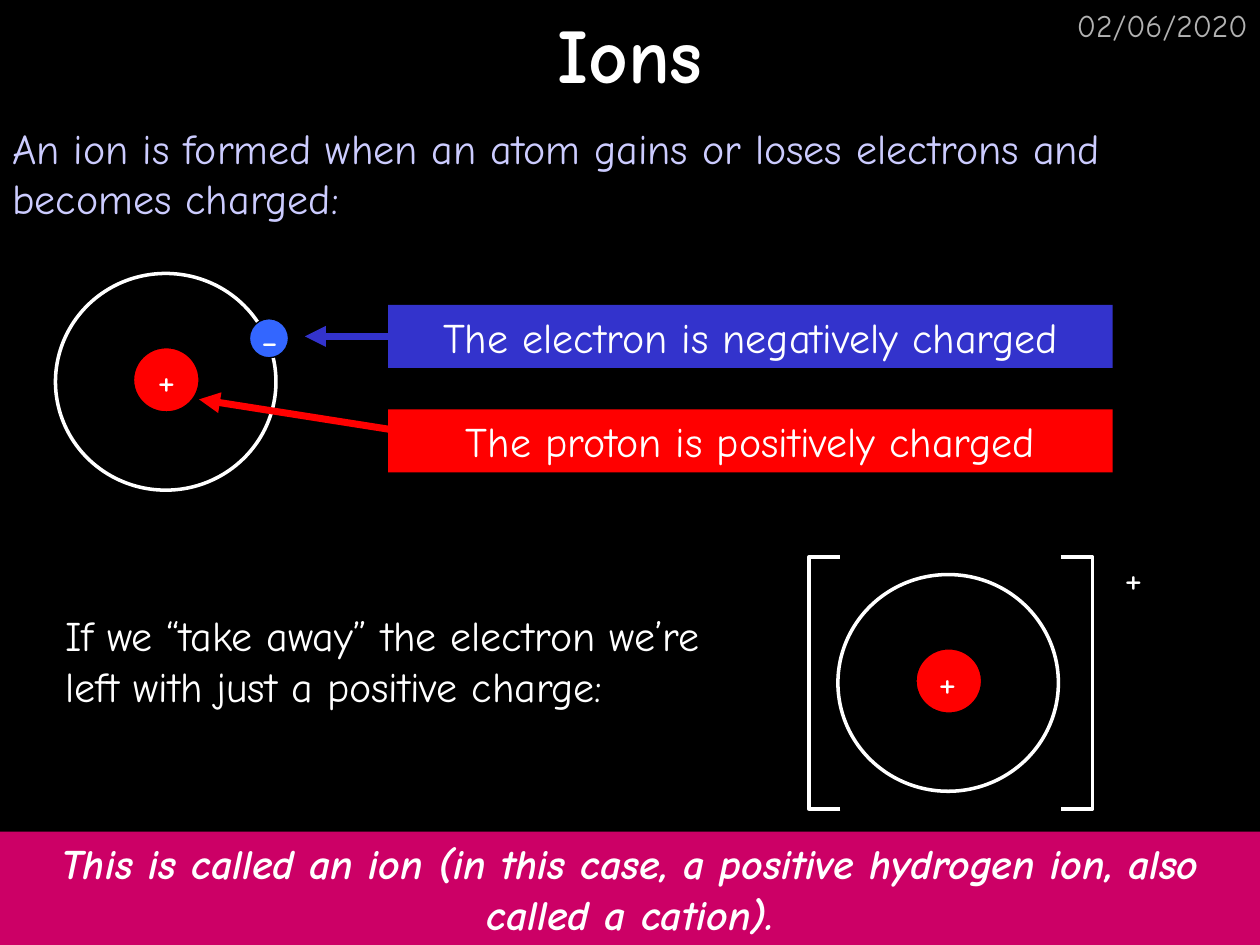
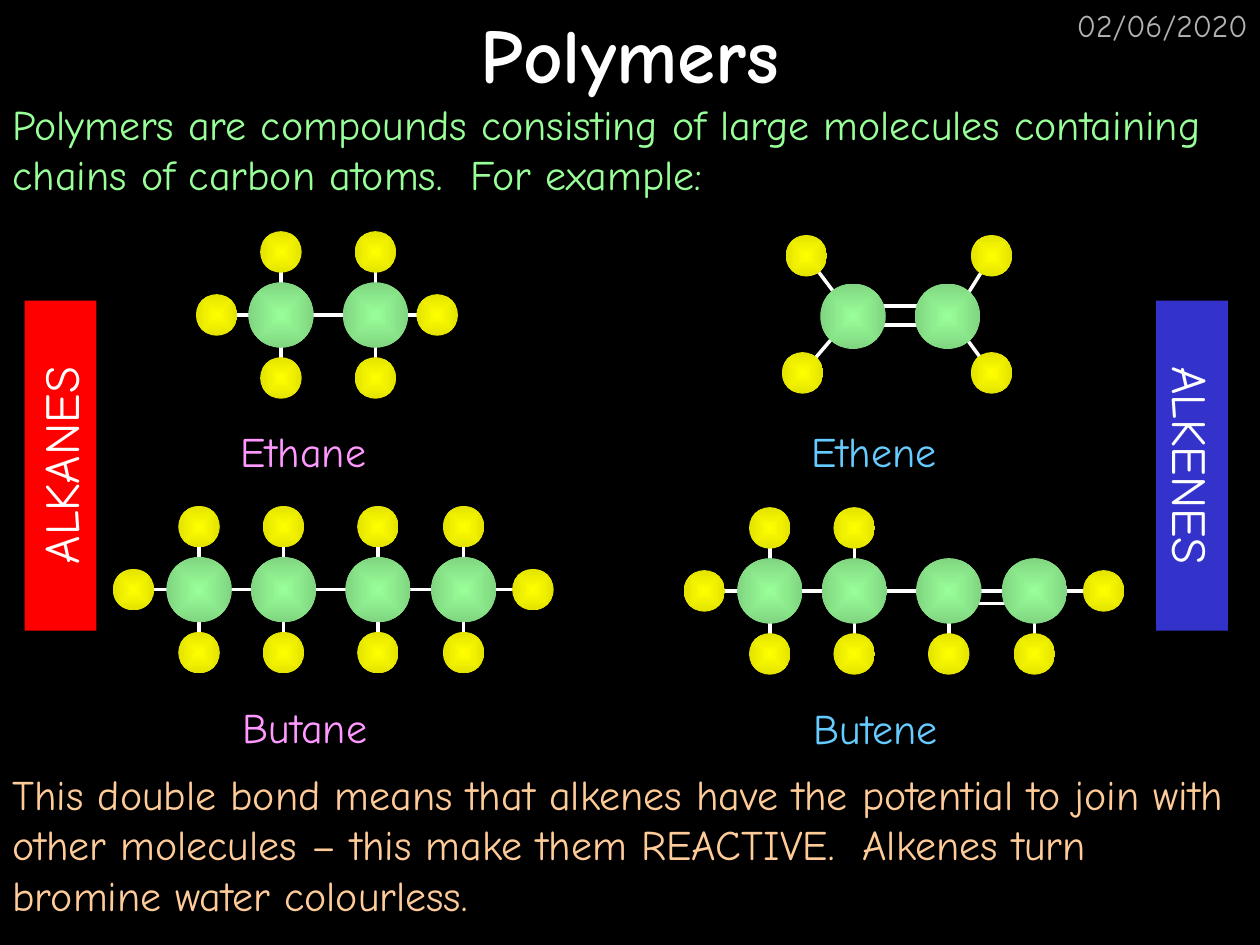
from lxml import etree
from pptx import Presentation
from pptx.dml.color import RGBColor
from pptx.enum.shapes import MSO_CONNECTOR, MSO_SHAPE
from pptx.enum.text import MSO_ANCHOR, PP_ALIGN
from pptx.oxml.ns import qn
from pptx.util import Inches, Pt

STRAIGHT = MSO_CONNECTOR.STRAIGHT
RECTANGLE, OVAL = MSO_SHAPE.RECTANGLE, MSO_SHAPE.OVAL
LEFT_BRACKET, RIGHT_BRACKET = MSO_SHAPE.LEFT_BRACKET, MSO_SHAPE.RIGHT_BRACKET
TOP, MIDDLE = MSO_ANCHOR.TOP, MSO_ANCHOR.MIDDLE
LEFT, CENTER, RIGHT = PP_ALIGN.LEFT, PP_ALIGN.CENTER, PP_ALIGN.RIGHT

FONT = "Comic Neue"
COLORS = {
    "black": "000000", "white": "FFFFFF", "grey": "B2B2B2",
    "lavender": "CCCCFF", "magenta": "CC0066", "red": "FF0000",
    "electron": "3366FF", "blue": "3333CC", "mint": "99FF99",
    "mint_edge": "80D580", "yellow": "FFFF00", "yellow_edge": "E3E300",
    "pink": "FF99FF", "sky": "66CCFF", "peach": "FFCC99",
}
COLORS = {name: RGBColor.from_string(value) for name, value in COLORS.items()}


def add_item(slide, kind, at, text="", color="white", size=24, align=LEFT, anchor=TOP,
             bold=False, italic=False, fill=None, line=None, line_width=0.75):
    box = [Inches(value) for value in at]
    if kind is None:
        shape = slide.shapes.add_textbox(*box)
    else:
        shape = slide.shapes.add_shape(kind, *box)
        shape.shadow.inherit = False
        if fill:
            shape.fill.solid()
            shape.fill.fore_color.rgb = COLORS[fill]
        else:
            shape.fill.background()
        if line:
            shape.line.color.rgb = COLORS[line]
            shape.line.width = Pt(line_width)
        else:
            shape.line.fill.background()
    if text:
        frame = shape.text_frame
        frame.word_wrap = True
        frame.vertical_anchor = anchor
        paragraph = frame.paragraphs[0]
        paragraph.alignment = align
        run = paragraph.add_run()
        run.text = text
        run.font.name = FONT
        run.font.size = Pt(size)
        run.font.bold = bold
        run.font.italic = italic
        run.font.color.rgb = COLORS[color]
    return shape


def add_line(slide, start, end, color="white", width=2, arrow=False):
    connector = slide.shapes.add_connector(
        STRAIGHT, *[Inches(value) for value in (*start, *end)])
    connector.line.color.rgb = COLORS[color]
    connector.line.width = Pt(width)
    if arrow:
        etree.SubElement(connector.line._get_or_add_ln(), qn("a:tailEnd"), type="triangle")
    etree.SubElement(connector._element.spPr, qn("a:effectLst"))


presentation = Presentation()
presentation.slide_width = Inches(10)
presentation.slide_height = Inches(7.5)
background = presentation.slide_master.background.fill
background.solid()
background.fore_color.rgb = COLORS["black"]

slides = []
for title in ("Ions", "Polymers"):
    slide = presentation.slides.add_slide(presentation.slide_layouts[6])
    add_item(slide, None, (7.92, 0, 2.08, 0.5), "02/06/2020", "grey", 18, RIGHT)
    add_item(slide, None, (0, 0, 10, 0.83), title, size=44, align=CENTER,
             anchor=MIDDLE, bold=True)
    slides.append(slide)
ions, polymers = slides

add_item(ions, None, (0, 0.92, 10, 0.9),
         "An ion is formed when an atom gains or loses electrons and becomes charged:",
         "lavender")
add_item(ions, None, (0.42, 4.79, 5.48, 1.3),
         "If we “take away” the electron we’re left with just a positive charge:")
add_item(ions, RECTANGLE, (0, 6.6, 10, 0.9),
         "This is called an ion (in this case, a positive hydrogen ion, also called a cation).",
         align=CENTER, bold=True, italic=True, fill="magenta")

for left, top, sign_offset in ((0.44, 2.17, 0.71), (6.65, 4.56, 0.7)):
    add_item(ions, OVAL, (left, top, 1.75, 1.72), line="white", line_width=2)
    add_item(ions, OVAL, (left + 0.62, top + 0.59, 0.52, 0.51), fill="red", line="black")
    add_item(ions, None, (left + sign_offset, top + 0.59, 0.5, 0.5), "+")
add_item(ions, OVAL, (1.98, 2.53, 0.31, 0.31), fill="electron", line="black")
add_item(ions, None, (1.98, 2.44, 0.33, 0.5), "-")

particle_labels = (
    (2.42, "The electron is negatively charged", "blue", (3.17, 2.67), (2.42, 2.67)),
    (3.25, "The proton is positively charged", "red", (3.17, 3.42), (1.58, 3.17)),
)
for top, text, color, start, end in particle_labels:
    add_item(ions, RECTANGLE, (3.08, top, 5.75, 0.5), text, align=CENTER, fill=color)
    add_line(ions, start, end, color, 4, arrow=True)

for bracket, left in ((LEFT_BRACKET, 6.42), (RIGHT_BRACKET, 8.42)):
    shape = add_item(ions, bracket, (left, 4.42, 0.25, 2), line="white", line_width=2)
    shape.adjustments[0] = 0
add_item(ions, None, (8.83, 4.33, 0.67, 0.5), "+")

add_item(polymers, None, (0, 0.73, 10, 0.91),
         "Polymers are compounds consisting of large molecules containing chains of "
         "carbon atoms.  For example:", "mint")

ethene_arms = (
    ((7.87, 2.03), (7.62, 2.43)), ((6.37, 2.96), (6.72, 2.55)),
    ((7.87, 2.96), (7.57, 2.55)), ((6.4, 2.03), (6.8, 2.56)),
)
ethene_bonds = [((6.77, y), (7.52, y)) for y in (2.43, 2.58)]
molecules = [(ethene_bonds + list(ethene_arms), [(6.77, 2.51), (7.52, 2.51)],
              [hydrogen for hydrogen, _ in ethene_arms])]

chains = (
    (2.5, (1.72, 3.47), (2.23, 2.98), 2, []),
    (4.68, (1.06, 4.23), (1.58, 2.25, 3, 3.68), 4, []),
    (4.69, (5.59, 8.76), (6.11, 6.78, 7.53, 8.21), 2, [((7.68, 4.79), (8.24, 4.79))]),
)
for y, ends, carbon_xs, upper_count, double_bonds in chains:
    end_hydrogens = [(x, y) for x in ends]
    carbons = [(x, y) for x in carbon_xs]
    arms = [((x, y), (x, y - 0.5)) for x in carbon_xs[:upper_count]]
    arms += [((x, y), (x, y + 0.5)) for x in carbon_xs]
    molecules.append((double_bonds + [tuple(end_hydrogens)] + arms, carbons,
                      end_hydrogens + [hydrogen for _, hydrogen in arms]))

for bonds, carbons, hydrogens in molecules:
    for start, end in bonds:
        add_line(polymers, start, end)
    for centers, diameter, color in ((carbons, 0.52, "mint"), (hydrogens, 0.33, "yellow")):
        for x, y in centers:
            atom = add_item(polymers, OVAL,
                            (x - diameter / 2, y - diameter / 2, diameter, diameter))
            atom.fill.gradient()
            for stop, shade in zip(atom.fill.gradient_stops, (color, color + "_edge")):
                stop.color.rgb = COLORS[shade]
            gradient = atom._element.spPr.find(qn("a:gradFill"))
            gradient.remove(gradient.find(qn("a:lin")))
            shading = etree.SubElement(gradient, qn("a:path"), path="shape")
            etree.SubElement(shading, qn("a:fillToRect"),
                             l="50000", t="50000", r="50000", b="50000")

for name, left, top, color in (
    ("Ethane", 1.81, 3.33, "pink"), ("Ethene", 6.34, 3.33, "sky"),
    ("Butane", 1.83, 5.52, "pink"), ("Butene", 6.36, 5.53, "sky"),
):
    add_item(polymers, None, (left, top, 1.58, 0.5), name, color)

add_item(polymers, None, (0, 6.05, 10, 1.31),
         "This double bond means that alkenes have the potential to join with other "
         "molecules – this make them REACTIVE.  Alkenes turn bromine water colourless.",
         "peach")

for family, left, rotation, color in (("ALKANES", -0.83, 270, "red"),
                                      ("ALKENES", 8.15, 90, "blue")):
    band = add_item(polymers, RECTANGLE, (left, 3.41, 2.62, 0.57), family, size=28,
                    align=CENTER, fill=color)
    band.rotation = rotation

presentation.save("out.pptx")
